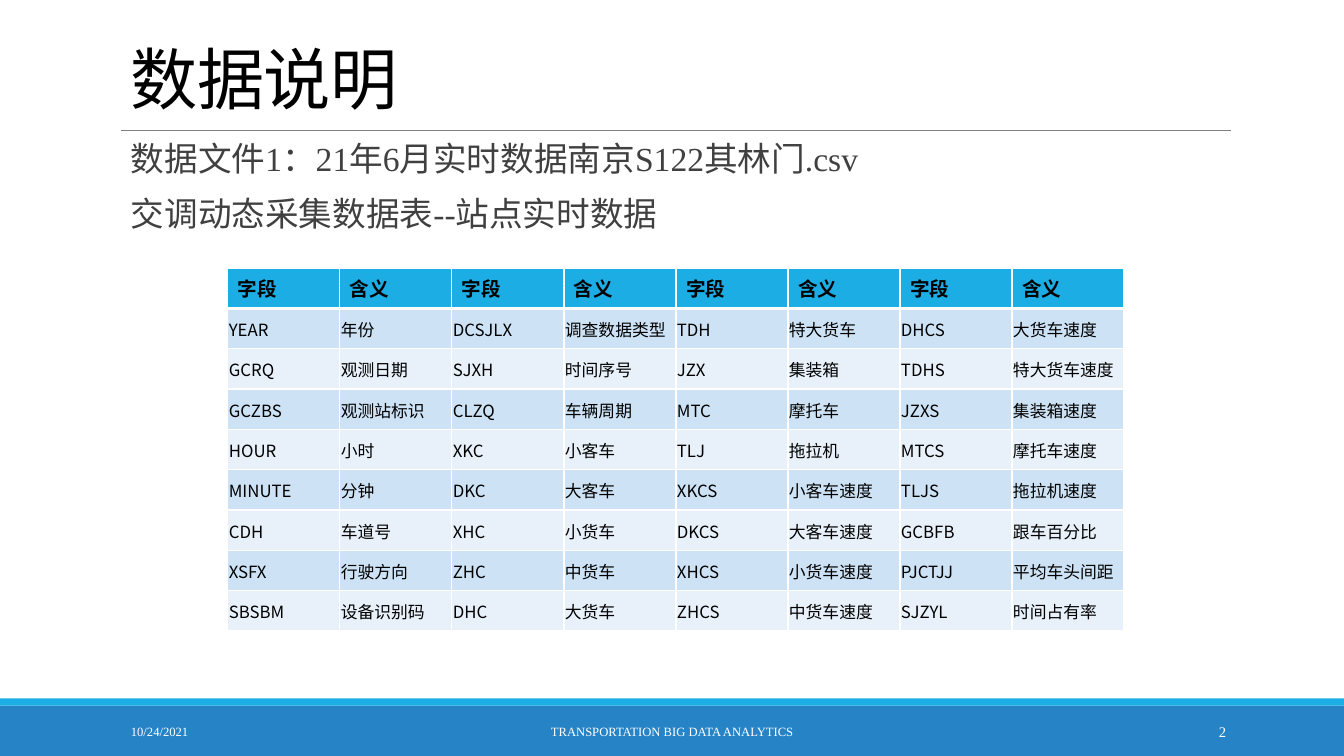
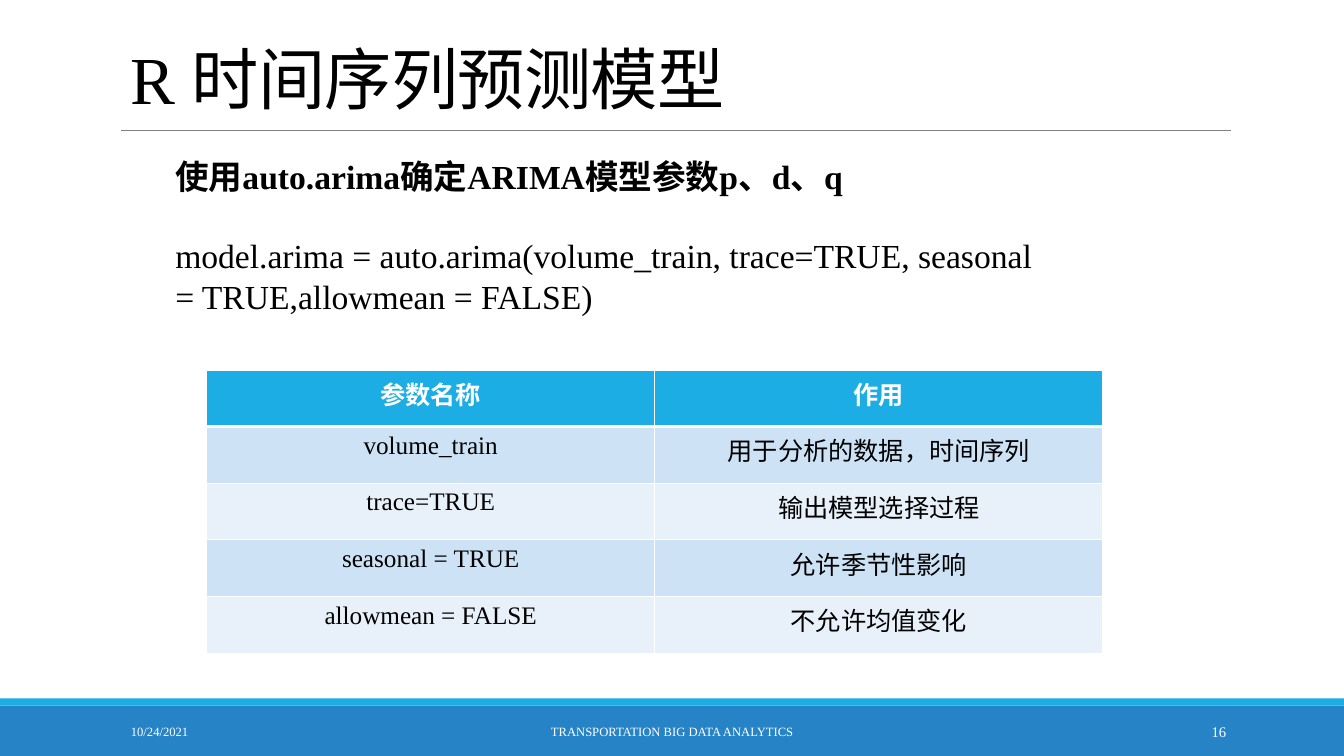
from lxml import etree
from pptx import Presentation
from pptx.dml.color import RGBColor
from pptx.enum.shapes import MSO_CONNECTOR, MSO_SHAPE
from pptx.enum.text import MSO_ANCHOR, PP_ALIGN
from pptx.oxml.ns import qn
from pptx.util import Inches, Pt

TOP, MIDDLE, BOTTOM = MSO_ANCHOR.TOP, MSO_ANCHOR.MIDDLE, MSO_ANCHOR.BOTTOM
LEFT, CENTER, RIGHT = PP_ALIGN.LEFT, PP_ALIGN.CENTER, PP_ALIGN.RIGHT
RECT, STRAIGHT = MSO_SHAPE.RECTANGLE, MSO_CONNECTOR.STRAIGHT

SERIF, SANS = "Times New Roman", "Noto Sans CJK SC"
THEME = {
    "band": "2683C6", "accent": "1CADE4", "rule": "808080",
    "stripes": ("CDE3F5", "E8F1FA"),
    "white": "FFFFFF", "black": "000000", "gray": "404040",
    "title": 48, "text": 24, "small": 9, "number": 10.5,
    "head": 14, "field": 12, "cell": 18,
}


def write(frame, lines, size, color="black", font=SERIF, bold=False, track=0, **para):
    """Fill a text frame with one paragraph per line, all in one format."""
    for i, line in enumerate(lines):
        p = frame.paragraphs[0] if i == 0 else frame.add_paragraph()
        for key, value in para.items():
            setattr(p, key, value)
        run = p.add_run()
        run.text = line
        look = {"name": font, "size": Pt(THEME[size]), "bold": bold}
        for key, value in look.items():
            setattr(run.font, key, value)
        run.font.color.rgb = RGBColor.from_string(THEME[color])
        props = run._r.get_or_add_rPr()
        if track:
            props.set("spc", str(track))
        etree.SubElement(props, qn("a:ea"), typeface=SANS)


def edge(cell, widths):
    """Give a cell white borders; widths are points for left, right, top, bottom."""
    props = cell._tc.get_or_add_tcPr()
    for i, (side, width) in enumerate(zip("LRTB", widths)):
        line = etree.Element(qn("a:ln" + side), w=str(Pt(width)))
        fill = etree.SubElement(line, qn("a:solidFill"))
        etree.SubElement(fill, qn("a:srgbClr"), val=THEME["white"])
        props.insert(i, line)


fields = """
YEAR 年份 DCSJLX 调查数据类型 TDH 特大货车 DHCS 大货车速度
GCRQ 观测日期 SJXH 时间序号 JZX 集装箱 TDHS 特大货车速度
GCZBS 观测站标识 CLZQ 车辆周期 MTC 摩托车 JZXS 集装箱速度
HOUR 小时 XKC 小客车 TLJ 拖拉机 MTCS 摩托车速度
MINUTE 分钟 DKC 大客车 XKCS 小客车速度 TLJS 拖拉机速度
CDH 车道号 XHC 小货车 DKCS 大客车速度 GCBFB 跟车百分比
XSFX 行驶方向 ZHC 中货车 XHCS 小货车速度 PJCTJJ 平均车头间距
SBSBM 设备识别码 DHC 大货车 ZHCS 中货车速度 SJZYL 时间占有率
"""
PAGES = [
    {
        "title": "数据说明", "number": "2",
        "box": (1.2, 1.36, 11, 1.3),
        "texts": [
            ("数据文件1：21年6月实时数据南京S122其林门.csv", False),
            ("交调动态采集数据表--站点实时数据", False),
        ],
        "style": {"color": "gray", "line_spacing": 0.9,
                  "space_before": Pt(12), "space_after": Pt(2)},
        "table": (2.26, 2.66, 8.89, 3.6),
        "rows": [["字段", "含义"] * 4]
        + [line.split() for line in fields.strip().splitlines()],
        "head": {"size": "head", "bold": True},
        "cell": {"size": "field", "font": SANS},
        "inset": {"vertical_anchor": MIDDLE, "margin_left": Inches(0.01),
                  "margin_right": Inches(0.01), "margin_top": Inches(0.01),
                  "margin_bottom": 0},
    },
    {
        "title": "R 时间序列预测模型", "number": "16",
        "box": (1.64, 1.5, 8.7, 1.72),
        "texts": [
            ("使用auto.arima确定ARIMA模型参数p、d、q", True),
            ("model.arima = auto.arima(volume_train, trace=TRUE, "
             "seasonal = TRUE,allowmean = FALSE)", False),
        ],
        "style": {},
        "gap": 27.6,
        "table": (2.05, 3.67, 8.89, 2.81),
        "rows": [
            ("参数名称", "作用"),
            ("volume_train", "用于分析的数据，时间序列"),
            ("trace=TRUE", "输出模型选择过程"),
            ("seasonal = TRUE", "允许季节性影响"),
            ("allowmean = FALSE", "不允许均值变化"),
        ],
        "head": {"size": "cell", "color": "white", "bold": True, "alignment": CENTER},
        "cell": {"size": "cell", "alignment": CENTER},
        "inset": {},
    },
]

deck = Presentation()
deck.slide_width, deck.slide_height = Inches(13.33), Inches(7.5)

for page in PAGES:
    slide = deck.slides.add_slide(deck.slide_layouts[6])
    shapes = slide.shapes

    # Bands and title rule
    for top, height, color in ((7, 0.5, "band"), (6.93, 0.07, "accent")):
        band = shapes.add_shape(RECT, 0, Inches(top), deck.slide_width, Inches(height))
        band.shadow.inherit = False
        band.fill.solid()
        band.fill.fore_color.rgb = RGBColor.from_string(THEME[color])
        band.line.fill.background()
    rule = shapes.add_connector(
        STRAIGHT, Inches(1.2), Inches(1.29), Inches(12.21), Inches(1.29))
    rule.line.color.rgb = RGBColor.from_string(THEME["rule"])
    rule.line.width = Pt(0.5)
    etree.SubElement(rule._element.spPr, qn("a:effectLst"))

    # Title, footers and body text
    small = {"size": "small", "color": "white"}
    number = {"size": "number", "color": "white", "alignment": RIGHT}
    heading = {"size": "title", "track": -50, "line_spacing": 0.85}
    blocks = [
        ((1.2, 0.13, 11, 1.09), BOTTOM, [page["title"]], heading),
        ((1.2, 7.06, 2.7, 0.4), MIDDLE, ["10/24/2021"], {**small, "alignment": LEFT}),
        ((4.03, 7.06, 5.27, 0.4), MIDDLE, ["TRANSPORTATION BIG DATA ANALYTICS"],
         {**small, "alignment": CENTER}),
        ((10.83, 7.06, 1.43, 0.4), MIDDLE, [page["number"]], number),
        (page["box"], TOP, [text for text, _ in page["texts"]],
         {"size": "text", **page["style"]}),
    ]
    for place, anchor, lines, style in blocks:
        frame = shapes.add_textbox(*map(Inches, place)).text_frame
        frame.word_wrap = True
        frame.vertical_anchor = anchor
        write(frame, lines, **style)
    for p, (_, bold) in zip(frame.paragraphs, page["texts"]):
        p.runs[0].font.bold = bold
    if "gap" in page:
        frame.paragraphs[1].space_before = Pt(page["gap"])

    # Table
    rows = page["rows"]
    grid = shapes.add_table(len(rows), len(rows[0]), *map(Inches, page["table"])).table
    for r, row in enumerate(rows):
        fill = THEME["stripes"][(r - 1) % 2] if r else THEME["accent"]
        for c, text in enumerate(row):
            cell = grid.cell(r, c)
            cell.fill.solid()
            cell.fill.fore_color.rgb = RGBColor.from_string(fill)
            edge(cell, (1, 1, 3 if r == 1 else 1, 1 if r else 3))
            if r:
                for key, value in page["inset"].items():
                    setattr(cell, key, value)
            write(cell.text_frame, [text], **page["cell" if r else "head"])

deck.save("out.pptx")
